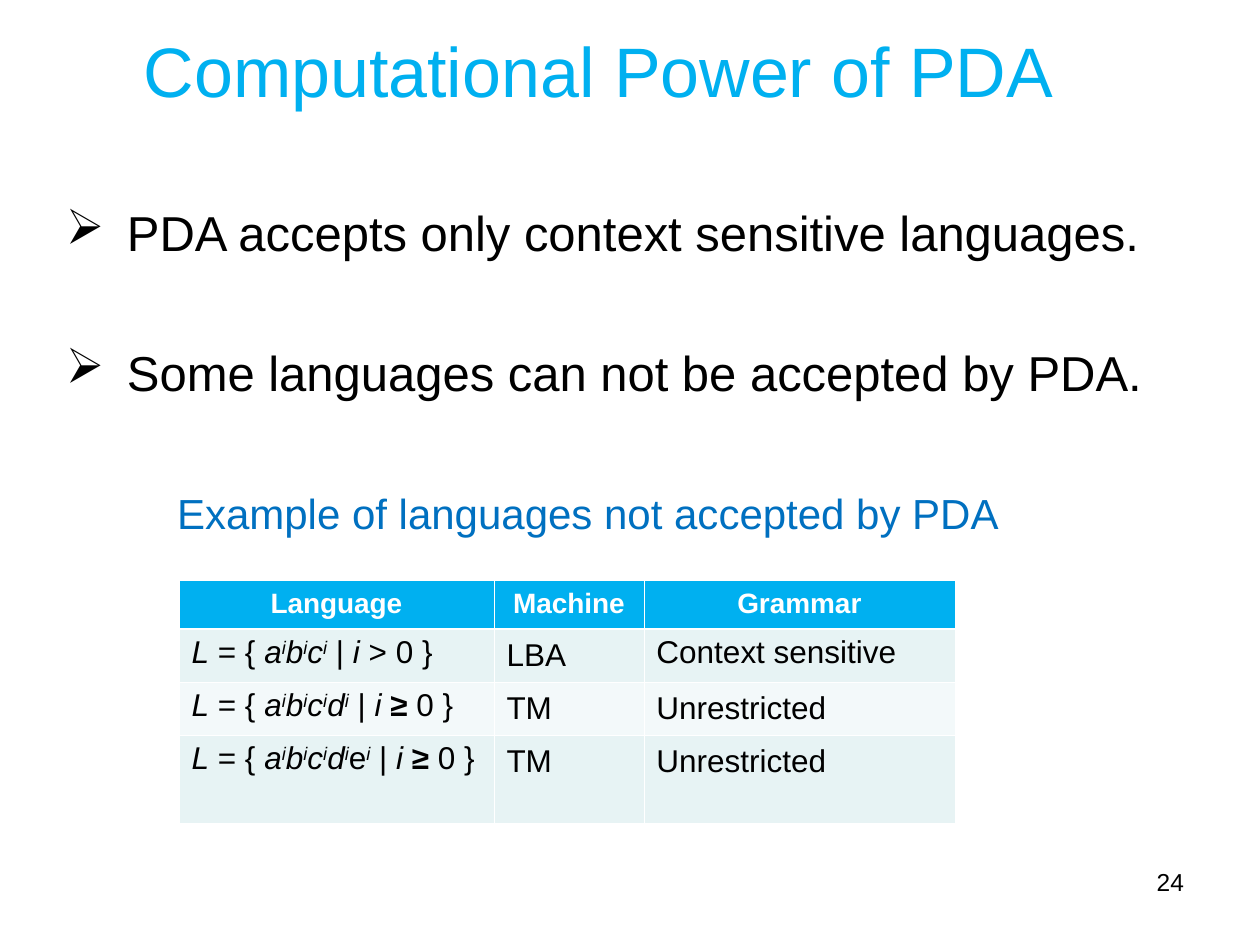
from lxml import etree
from pptx import Presentation
from pptx.dml.color import RGBColor
from pptx.enum import text
from pptx.oxml import ns
from pptx.util import Pt

SCALE = 914400 // 126
COLOURS = {"title": "00B0F0", "caption": "0070C0", "ink": "000000",
           "white": "FFFFFF", "band": "E7F3F4", "light": "F3F9FA"}
CENTER, RIGHT = text.PP_ALIGN.CENTER, text.PP_ALIGN.RIGHT


def px(length):
    """Turn picture pixels into EMU."""
    return length * SCALE


def add_node(parent, tag, **attributes):
    """Append a DrawingML element."""
    names = {name: str(value) for name, value in attributes.items()}
    return etree.SubElement(parent, ns.qn(tag), names)


def language(letters, relation):
    """Give the styled spans of a set such as { a^i b^i | i > 0 }."""
    spans = [("L", "i"), (" = { ", "")]
    for letter in letters:
        spans += [(letter, "" if letter == "e" else "i"), ("i", "is")]
    sign_style = "b" if relation == "≥" else ""
    return spans + [(" | ", ""), ("i ", "i"), (relation, sign_style), (" 0 }", "")]


class SlideBuilder:
    """Holds the text style and the current slide."""

    font = "Arial"

    def __init__(self, page):
        self.page = page

    def add_spans(self, paragraph, spans, size, colour, align=None):
        """Fill a paragraph with spans; styles are i, b and s (superscript)."""
        paragraph.alignment = align
        for words, style in spans:
            span = paragraph.add_run()
            span.text = words
            span.font.name = self.font
            span.font.size = Pt(size)
            span.font.color.rgb = RGBColor.from_string(COLOURS[colour])
            span.font.bold = "b" in style
            span.font.italic = "i" in style
            if "s" in style:
                span.font._element.set("baseline", "30000")

    def text_box(self, place, lines, size, colour, align=None, inset=(0, 0), before=0):
        """Add a wrapped text box with one paragraph per line."""
        box = self.page.shapes.add_textbox(*map(px, place))
        frame = box.text_frame
        frame.word_wrap = True
        frame.margin_left = frame.margin_right = px(inset[0])
        frame.margin_top = frame.margin_bottom = px(inset[1])
        for index, line in enumerate(lines):
            paragraph = frame.add_paragraph() if index else frame.paragraphs[0]
            paragraph.space_before = Pt(before)
            self.add_spans(paragraph, [(line, "")], size, colour, align)
        return frame

    def bullets(self, place, lines, size, indent, gap):
        """Add a list with arrow bullets and a gap between its items."""
        frame = self.text_box(place, lines, size, "ink", inset=(13, 6))
        for index, paragraph in enumerate(frame.paragraphs):
            paragraph.space_before = Pt(gap if index else 0)
            settings = paragraph._p.get_or_add_pPr()
            settings.set("marL", str(px(indent)))
            settings.set("indent", str(-px(indent)))
            add_node(settings, "a:buChar", char="➢")

    def borders(self, cell, widths):
        """Draw white cell borders; widths are points by side."""
        settings = cell._tc.get_or_add_tcPr()
        for side in "LRTB":
            line = add_node(settings, f"a:ln{side}", w=int(Pt(widths.get(side, 0.45))))
            fill = add_node(line, "a:solidFill")
            add_node(fill, "a:srgbClr", val=COLOURS["white"])

    def table(self, place, widths, heights, rows):
        """Add a table with a coloured header and banded rows."""
        shape = self.page.shapes.add_table(len(rows), len(widths), *map(px, place))
        grid = shape.table
        for column, width in zip(grid.columns, widths):
            column.width = px(width)
        for r, (row, height, spans_by_cell) in enumerate(zip(grid.rows, heights, rows)):
            row.height = px(height)
            fill = "title" if r == 0 else "band" if r % 2 else "light"
            heavy = {0: {"B": 1.47}, 1: {"T": 1.47}}.get(r, {})
            for cell, spans in zip(row.cells, spans_by_cell):
                self.borders(cell, heavy)
                cell.fill.solid()
                cell.fill.fore_color.rgb = RGBColor.from_string(COLOURS[fill])
                paragraph = cell.text_frame.paragraphs[0]
                if isinstance(spans, str):
                    if spans != "Context sensitive":
                        paragraph.line_spacing = 1.07
                    spans = [(spans, "" if r else "b")]
                if r:
                    self.add_spans(paragraph, spans, 18, "ink")
                else:
                    self.add_spans(paragraph, spans, 16, "white", CENTER)


deck = Presentation()
deck.slide_width, deck.slide_height = px(1260), px(945)
builder = SlideBuilder(deck.slides.add_slide(deck.slide_layouts[6]))

title = builder.text_box((105, 30, 987, 79), ["Computational Power of PDA"],
                         40, "title", CENTER)
title.vertical_anchor = text.MSO_ANCHOR.MIDDLE
builder.bullets((53, 197, 1134, 240),
                ["PDA accepts only context sensitive languages.",
                 "Some languages can not be accepted by PDA."],
                size=28, indent=61, gap=46)
builder.text_box((21, 488, 1134, 66), ["Example of languages not accepted by PDA"],
                 24, "caption", CENTER, before=6)
builder.table((179, 580, 776, 243), (315, 150, 311), (49, 53, 53, 88), [
    ("Language", "Machine", "Grammar"),
    (language("abc", ">"), "LBA", "Context sensitive"),
    (language("abcd", "≥"), "TM", "Unrestricted"),
    (language("abcde", "≥"), "TM", "Unrestricted"),
])
builder.text_box((903, 861, 294, 66), ["24"], 14, "ink", RIGHT, inset=(13, 6))
deck.save("out.pptx")
